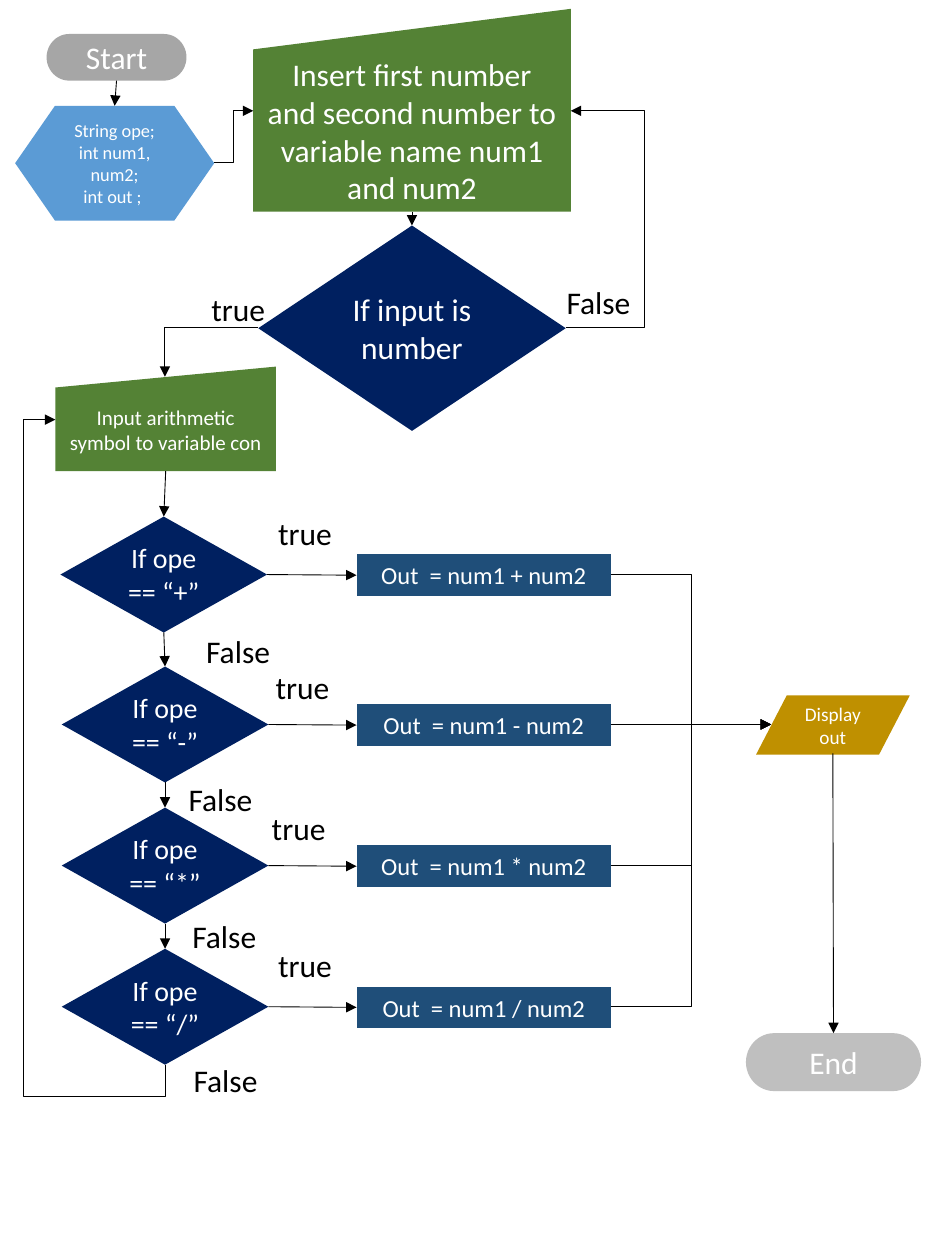
from dataclasses import dataclass

from lxml.etree import SubElement
from pptx import Presentation
from pptx.dml.color import RGBColor
from pptx.enum.shapes import MSO_CONNECTOR as Line, MSO_SHAPE as Kind
from pptx.enum.text import MSO_ANCHOR as Anchor, PP_ALIGN as Align
from pptx.oxml.ns import qn
from pptx.shapes.autoshape import Shape
from pptx.shapes.connector import Connector
from pptx.util import Inches, Pt

WHITE = RGBColor(0xFF, 0xFF, 0xFF)
BLACK = RGBColor(0x00, 0x00, 0x00)
GRAY = RGBColor(0xA6, 0xA6, 0xA6)
LIGHT_GRAY = RGBColor(0xBF, 0xBF, 0xBF)
GREEN = RGBColor(0x54, 0x82, 0x35)
NAVY = RGBColor(0x00, 0x20, 0x60)
STEEL = RGBColor(0x1F, 0x4E, 0x79)
SKY = RGBColor(0x5B, 0x9B, 0xD5)
GOLD = RGBColor(0xBF, 0x90, 0x00)

TOP, LEFT, BOTTOM, RIGHT = range(4)
Point = tuple[float, float]


@dataclass
class Node:
    kind: Kind
    fill: RGBColor
    at: tuple[float, float, float, float]
    text: str
    size: float


@dataclass
class Operation:
    symbol: str
    left: float
    top: float
    true_at: Point
    false_at: Point


OPERATIONS = [
    Operation("+", 0.48, 4.1, (2.01, 4.03), (1.48, 4.97)),
    Operation("-", 0.49, 5.29, (1.99, 5.25), (1.34, 6.14)),
    Operation("*", 0.49, 6.41, (1.96, 6.37), (1.37, 7.23)),
    Operation("/", 0.49, 7.53, (2.01, 7.46), (1.38, 8.37)),
]

deck = Presentation()
deck.slide_width, deck.slide_height = Inches(7.5), Inches(10)
page = deck.slides.add_slide(deck.slide_layouts[6])


def write(box: Shape, text: str, size: float, color: RGBColor) -> None:
    box.text_frame.word_wrap = True
    para = box.text_frame.paragraphs[0]
    para.text = text
    para.alignment = Align.CENTER
    para.font.name = "Calibri"
    para.font.size = Pt(size)
    para.font.color.rgb = color


def draw_node(node: Node) -> Shape:
    box = page.shapes.add_shape(node.kind, *map(Inches, node.at))
    box.shadow.inherit = False
    box.fill.solid()
    box.fill.fore_color.rgb = node.fill
    box.line.fill.background()
    box.text_frame.vertical_anchor = Anchor.MIDDLE
    write(box, node.text, node.size, WHITE)
    return box


def draw_label(text: str, at: Point) -> None:
    box = page.shapes.add_textbox(*map(Inches, (*at, 0.82, 0.4)))
    write(box, text, 18, BLACK)


def add_arrow(kind: Line, start: Point, end: Point) -> Connector:
    arrow = page.shapes.add_connector(kind, *map(Inches, (*start, *end)))
    arrow.line.color.rgb = BLACK
    arrow.line.width = Pt(0.5)
    properties = arrow.element.spPr
    SubElement(properties.find(qn("a:ln")), qn("a:tailEnd"), type="triangle")
    SubElement(properties, qn("a:effectLst"))
    return arrow


def join(first: Shape, second: Shape, sides: Point = (BOTTOM, TOP)) -> None:
    arrow = add_arrow(Line.STRAIGHT, (0, 0), (1, 1))
    arrow.begin_connect(first, sides[0])
    arrow.end_connect(second, sides[1])


def shape_bend(arrow: Connector, preset: str, *ratios: float) -> None:
    """Choose the bend preset and place its corners."""
    geometry = arrow.element.spPr.find(qn("a:prstGeom"))
    geometry.set("prst", preset)
    guides = geometry.find(qn("a:avLst"))
    for number, ratio in enumerate(ratios, 1):
        name = f"adj{number}"
        SubElement(guides, qn("a:gd"), name=name, fmla=f"val {round(ratio * 100000)}")


def draw_elbow(start: Point, end: Point, via_x: float) -> None:
    arrow = add_arrow(Line.ELBOW, start, end)
    shape_bend(arrow, "bentConnector3", (via_x - start[0]) / (end[0] - start[0]))


def draw_loop(start: Point, end: Point, via_x: float, via_y: float) -> None:
    """Leave downwards, pass both corners and arrive sideways."""
    (x1, y1), (x2, y2) = start, end
    middle_x, middle_y = (x1 + x2) / 2, (y1 + y2) / 2
    half_x, half_y = (x1 - x2) / 2, (y1 - y2) / 2
    arrow = add_arrow(
        Line.ELBOW,
        (middle_x + half_y, middle_y - half_x),
        (middle_x - half_y, middle_y + half_x),
    )
    arrow.element.spPr.find(qn("a:xfrm")).set("rot", str(90 * 60000))
    shape_bend(arrow, "bentConnector4", (via_y - y1) / (y2 - y1), (via_x - x1) / (x2 - x1))


# Start, declarations and number input
start = draw_node(Node(Kind.FLOWCHART_TERMINATOR, GRAY, (0.37, 0.27, 1.11, 0.37), "Start", 18))
declare = draw_node(Node(Kind.FLOWCHART_PREPARATION, SKY, (0.12, 0.84, 1.58, 0.91),
                         "String ope;\nint num1, num2;\nint out ; ", 10.5))
numbers = draw_node(Node(Kind.FLOWCHART_MANUAL_INPUT, GREEN, (2.01, 0.07, 2.52, 1.61),
                         "Insert first number and second number to variable name num1 and num2", 18))
check = draw_node(Node(Kind.FLOWCHART_DECISION, NAVY, (2.05, 1.79, 2.44, 1.63),
                       "If input is number", 18))
symbol = draw_node(Node(Kind.FLOWCHART_MANUAL_INPUT, GREEN, (0.44, 2.91, 1.75, 0.83),
                        "Input arithmetic symbol to variable con", 12))
join(start, declare)
join(numbers, check)
draw_elbow((1.7, 1.29), (2.01, 0.88), 1.85)
draw_elbow((4.49, 2.6), (4.53, 0.88), 5.11)
shape_bend(add_arrow(Line.ELBOW, (2.05, 2.6), (1.31, 2.99)), "bentConnector2")
draw_label("False", (4.34, 2.2))
draw_label("true", (1.48, 2.25))

# Output and end
draw_node(Node(Kind.FLOWCHART_DATA, GOLD, (6, 5.52, 1.22, 0.47), "Display out", 11))
end = draw_node(Node(Kind.FLOWCHART_TERMINATOR, LIGHT_GRAY, (5.92, 8.2, 1.39, 0.46), "End", 18))
add_arrow(Line.STRAIGHT, (6.61, 5.98), (6.61, 8.2)).end_connect(end, TOP)

# One decision and one calculation for each operation
previous = symbol
for item in OPERATIONS:
    decision = draw_node(Node(Kind.FLOWCHART_DECISION, NAVY, (item.left, item.top, 1.64, 0.92),
                              f"If ope == “{item.symbol}”", 16))
    result = draw_node(Node(Kind.FLOWCHART_PROCESS, STEEL, (2.83, item.top + 0.3, 2.02, 0.33),
                            f"Out  = num1 {item.symbol} num2", 14))
    join(previous, decision)
    join(decision, result, (RIGHT, LEFT))
    draw_elbow((4.85, item.top + 0.46), (6.12, 5.75), 5.49)
    draw_label("true", item.true_at)
    draw_label("False", item.false_at)
    previous = decision

# Back to the symbol input
draw_loop((1.31, 8.45), (0.44, 3.33), 0.19, 8.7)

deck.save("out.pptx")
